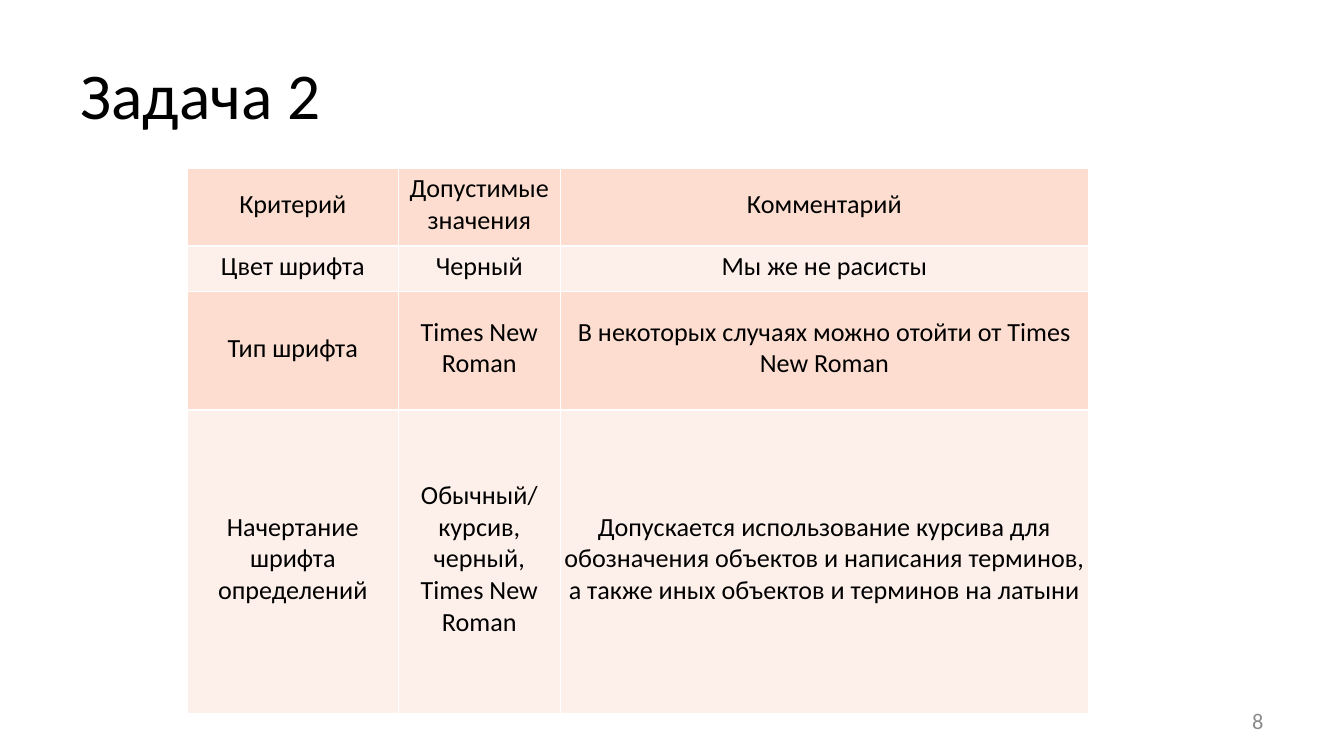
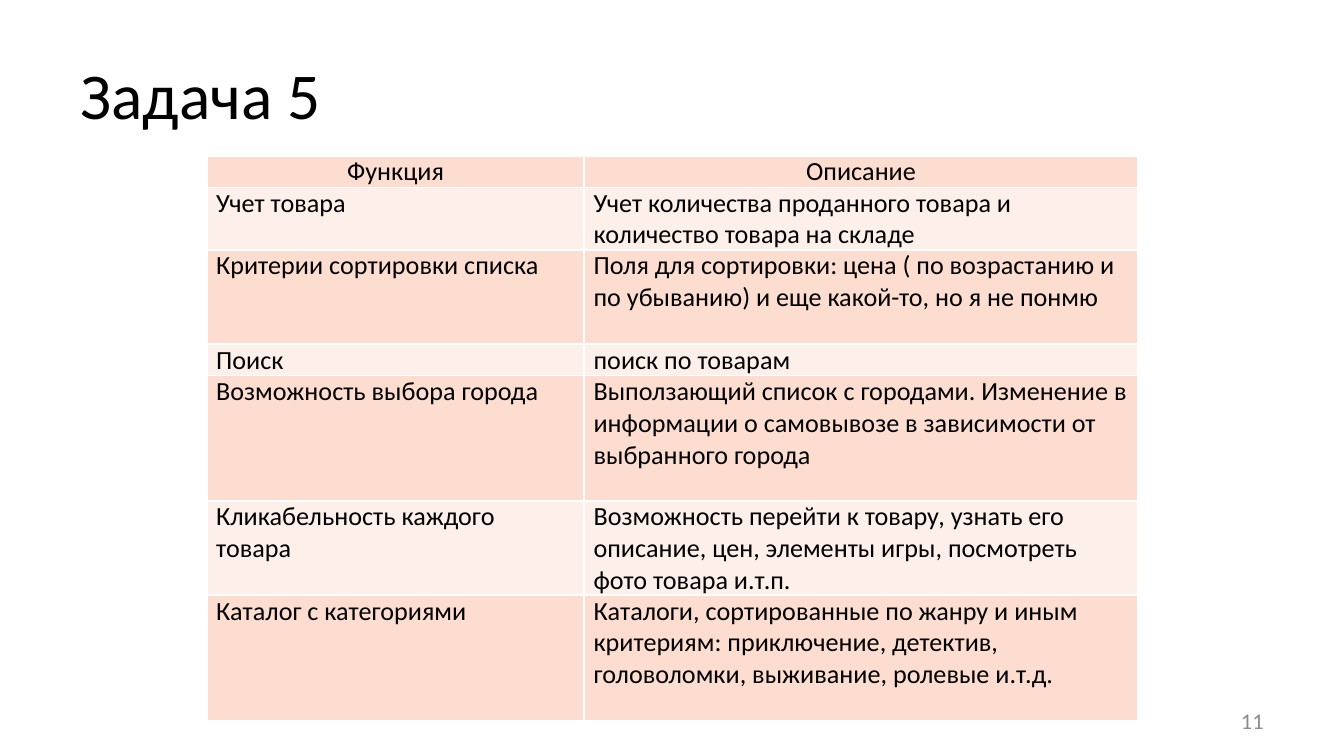
from dataclasses import dataclass

from lxml.etree import SubElement
from pptx import Presentation
from pptx.dml.color import RGBColor
from pptx.enum.text import MSO_ANCHOR as Anchor, PP_ALIGN as Align
from pptx.oxml.ns import qn
from pptx.slide import Slide
from pptx.table import _Cell as Cell
from pptx.text.text import _Paragraph as Paragraph
from pptx.util import Pt

FONT = "Calibri"
COLORS = {
    "text": "000000",
    "number": "8C8C8C",
    "dark_band": "FCDDCF",
    "light_band": "FDEFE9",
    "border": "FFFFFF",
}
LINE = 16.8  # height of one line of table text


@dataclass(frozen=True)
class Label:
    """Placement and style of a text that every slide has."""
    left: float
    top: float
    width: float
    height: float
    size: float
    color: str
    align: Align


@dataclass(frozen=True)
class TableSpec:
    left: float
    top: float
    columns: list[float]
    heights: list[float]
    rows: list[list[str]]
    margins: tuple[float, float, float, float]  # left, top, right, bottom
    anchor: Anchor
    body_align: Align


@dataclass(frozen=True)
class Page:
    title: str
    number: int
    table: TableSpec


TITLE = Label(36, 16.2, 648, 67.5, 35, "text", Align.LEFT)
NUMBER = Label(516, 375.4, 168, 21.6, 12, "number", Align.RIGHT)

FONT_CRITERIA = TableSpec(
    left=100.4, top=90.3,
    columns=[113, 86.8, 283],
    heights=[41.4, 24.6, 63.3, 162.6],
    margins=(0.7, 0.7, 0.7, 3.6),
    anchor=Anchor.MIDDLE,
    body_align=Align.CENTER,
    rows=[
        ["Критерий", "Допустимые значения", "Комментарий"],
        ["Цвет шрифта", "Черный", "Мы же не расисты"],
        ["Тип шрифта", "Times New Roman",
         "В некоторых случаях можно отойти от Times New Roman"],
        ["Начертание шрифта определений",
         "Обычный/курсив, черный, Times New Roman",
         "Допускается использование курсива для обозначения объектов и "
         "написания терминов, а также иных объектов и терминов на латыни"],
    ],
)

SHOP_FUNCTIONS = TableSpec(
    left=110.8, top=83.5,
    columns=[202.2, 296.6],
    heights=[LINE * lines for lines in (1, 2, 3, 1, 4, 3, 4)],
    margins=(5, 0, 5, 0),
    anchor=Anchor.TOP,
    body_align=Align.LEFT,
    rows=[
        ["Функция", "Описание"],
        ["Учет товара",
         "Учет количества проданного товара и количество товара на складе"],
        ["Критерии сортировки списка",
         "Поля для сортировки: цена ( по возрастанию и по убыванию) "
         "и еще какой-то, но я не понмю"],
        ["Поиск", "поиск по товарам"],
        ["Возможность выбора города",
         "Выползающий список с городами. Изменение в информации о "
         "самовывозе в зависимости от выбранного города"],
        ["Кликабельность каждого товара",
         "Возможность перейти к товару, узнать его описание, цен, "
         "элементы игры, посмотреть фото товара и.т.п."],
        ["Каталог с категориями",
         "Каталоги, сортированные по жанру и иным критериям: приключение, "
         "детектив, головоломки, выживание, ролевые и.т.д."],
    ],
)

PAGES = [Page("Задача 2", 8, FONT_CRITERIA), Page("Задача 5", 11, SHOP_FUNCTIONS)]


def rgb(name: str) -> RGBColor:
    return RGBColor.from_string(COLORS[name])


def style_paragraph(paragraph: Paragraph, size: float, color: str, align: Align) -> None:
    paragraph.alignment = align
    paragraph.font.name = FONT
    paragraph.font.size = Pt(size)
    paragraph.font.color.rgb = rgb(color)


def add_label(slide: Slide, label: Label, text: str) -> None:
    shape = slide.shapes.add_textbox(
        Pt(label.left), Pt(label.top), Pt(label.width), Pt(label.height))
    frame = shape.text_frame
    frame.word_wrap = True
    frame.vertical_anchor = Anchor.MIDDLE
    frame.text = text
    style_paragraph(frame.paragraphs[0], label.size, label.color, label.align)


def add_borders(cell: Cell) -> None:
    properties = cell._tc.get_or_add_tcPr()
    # Borders must come before the fill
    for index, side in enumerate(("a:lnL", "a:lnR", "a:lnT", "a:lnB")):
        line = SubElement(properties, qn(side), w=str(Pt(1)))
        fill = SubElement(line, qn("a:solidFill"))
        SubElement(fill, qn("a:srgbClr"), val=COLORS["border"])
        properties.insert(index, line)


def fill_cell(cell: Cell, spec: TableSpec, text: str, row: int) -> None:
    cell.text = text
    cell.vertical_anchor = spec.anchor
    (cell.margin_left, cell.margin_top,
     cell.margin_right, cell.margin_bottom) = map(Pt, spec.margins)
    cell.fill.solid()
    cell.fill.fore_color.rgb = rgb("light_band" if row % 2 else "dark_band")
    add_borders(cell)
    align = spec.body_align if row else Align.CENTER
    style_paragraph(cell.text_frame.paragraphs[0], 14, "text", align)


def add_table(slide: Slide, spec: TableSpec) -> None:
    table = slide.shapes.add_table(
        len(spec.rows), len(spec.columns), Pt(spec.left), Pt(spec.top),
        Pt(sum(spec.columns)), Pt(sum(spec.heights))).table
    table.first_row = False
    table.horz_banding = False
    for column, width in zip(table.columns, spec.columns):
        column.width = Pt(width)
    for row, height in zip(table.rows, spec.heights):
        row.height = Pt(height)
    for row_index, texts in enumerate(spec.rows):
        for column_index, text in enumerate(texts):
            fill_cell(table.cell(row_index, column_index), spec, text, row_index)


def main() -> None:
    presentation = Presentation()
    presentation.slide_width, presentation.slide_height = Pt(720), Pt(405)
    blank = presentation.slide_layouts[6]
    for page in PAGES:
        slide = presentation.slides.add_slide(blank)
        add_label(slide, TITLE, page.title)
        add_label(slide, NUMBER, str(page.number))
        add_table(slide, page.table)
    presentation.save("out.pptx")


if __name__ == "__main__":
    main()
